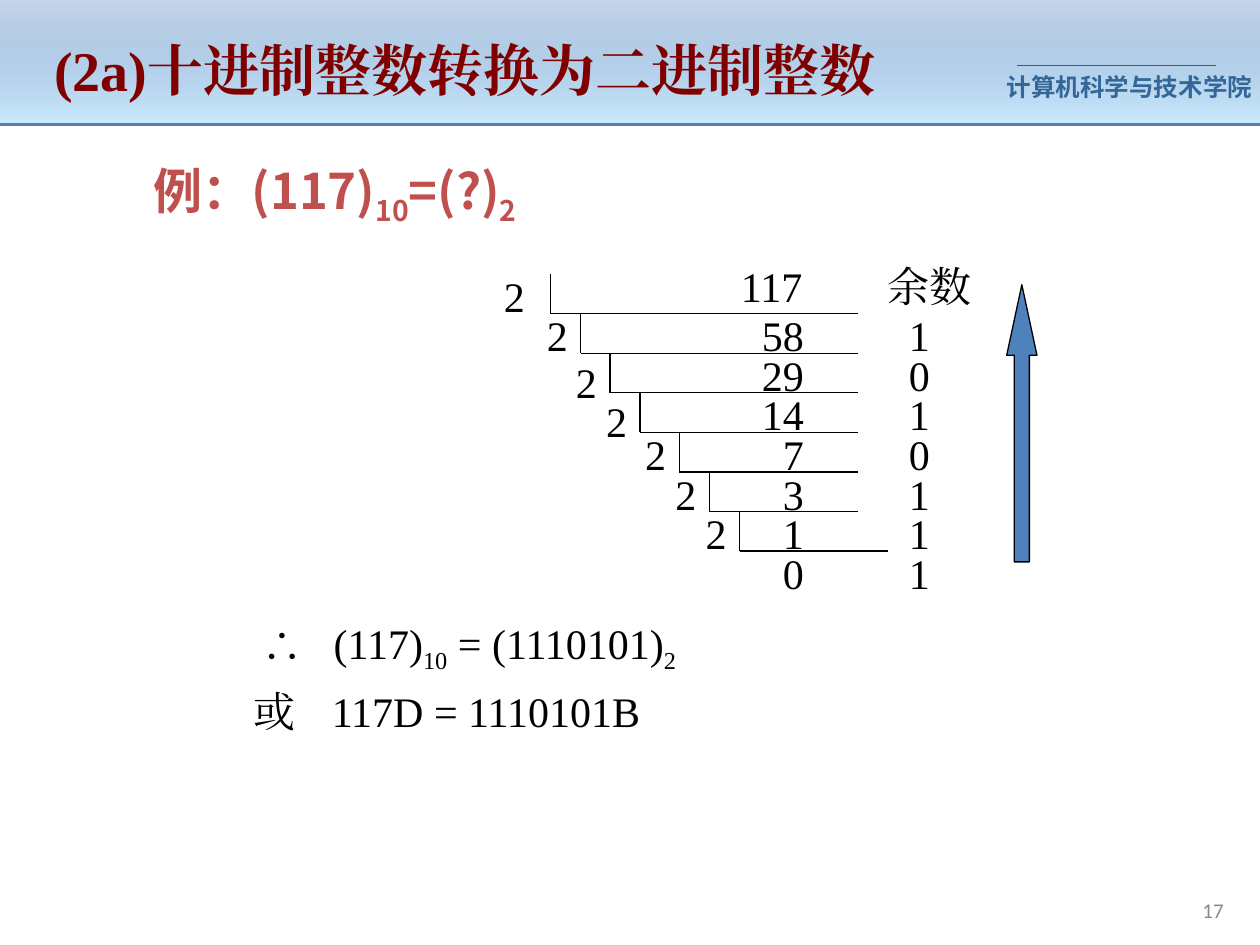
from dataclasses import dataclass

from lxml import etree
from pptx import Presentation
from pptx.dml.color import RGBColor
from pptx.enum import shapes, text
from pptx.oxml.ns import qn
from pptx.util import Pt


@dataclass(frozen=True)
class Theme:
    ink: str = "000000"
    blue: str = "4F81BD"
    sky: str = "CCECFF"
    rule: str = "0066CC"
    school: str = "336699"
    title: str = "800000"
    accent: str = "C0504D"
    grey: str = "898989"
    serif: str = "Times New Roman"
    sans: str = "Noto Sans CJK SC"
    plain: str = "Arial"
    page: str = "Calibri"
    big: int = 32
    mid: int = 28
    body: int = 24
    small: int = 14
    tiny: int = 12


ALIGN = {"l": text.PP_ALIGN.LEFT, "c": text.PP_ALIGN.CENTER, "r": text.PP_ALIGN.RIGHT}
SUB = "-25000"


def write(frame, parts, size, font, color, bold=False, align="l", tab=None, lead=None):
    """Fill a frame with runs; every second part is a subscript."""
    para = frame.paragraphs[0]
    if tab:
        stops = etree.SubElement(para._p.get_or_add_pPr(), qn("a:tabLst"))
        etree.SubElement(stops, qn("a:tab"), pos=str(Pt(tab)), algn="l")
    para.alignment = ALIGN[align]
    if lead:
        para.line_spacing = lead
    for i, part in enumerate(parts):
        run = para.add_run()
        run.text = part
        run.font.size = Pt(size)
        run.font.bold = bold
        run.font.name = font
        run.font.color.rgb = RGBColor.from_string(color)
        props = run.font._element
        etree.SubElement(props, qn("a:ea"), typeface=font)
        if i % 2:
            props.set("baseline", SUB)


class Deck:
    def __init__(self, theme):
        self.theme = theme
        self.file = Presentation()
        self.file.slide_width, self.file.slide_height = Pt(720), Pt(540)
        self.slide = self.file.slides.add_slide(self.file.slide_layouts[6])

    def text(self, x, y, w, h, *parts, pad=7.2, mid=False, **form):
        frame = self.slide.shapes.add_textbox(Pt(x), Pt(y), Pt(w), Pt(h)).text_frame
        frame.word_wrap = True
        frame.margin_left = frame.margin_right = Pt(pad)
        if mid:
            frame.vertical_anchor = text.MSO_ANCHOR.MIDDLE
        base = {"size": self.theme.body, "font": self.theme.serif, "color": self.theme.ink}
        write(frame, parts, **(base | form))

    def line(self, x1, y1, x2, y2, color=None, width=0.75):
        line = self.slide.shapes.add_connector(
            shapes.MSO_CONNECTOR.STRAIGHT, Pt(x1), Pt(y1), Pt(x2), Pt(y2))
        line.line.color.rgb = RGBColor.from_string(color or self.theme.ink)
        line.line.width = Pt(width)
        etree.SubElement(line._element.spPr, qn("a:effectLst"))

    def shape(self, kind, x, y, w, h):
        shape = self.slide.shapes.add_shape(kind, Pt(x), Pt(y), Pt(w), Pt(h))
        shape.shadow.inherit = False
        return shape

    def band(self, x, y, w, h):
        """Header strip that fades from see-through blue to sky."""
        band = self.shape(shapes.MSO_SHAPE.RECTANGLE, x, y, w, h)
        band.line.fill.background()
        band.fill.gradient()
        band.fill.gradient_angle = 270
        colors = (self.theme.blue, self.theme.sky)
        for stop, color, place in zip(band.fill.gradient_stops, colors, (0, 1)):
            stop.color.rgb = RGBColor.from_string(color)
            stop.position = place
        first = band._element.spPr.find(".//" + qn("a:srgbClr"))
        etree.SubElement(first, qn("a:alpha"), val="32000")

    def arrow(self, x, y, w, h):
        arrow = self.shape(shapes.MSO_SHAPE.UP_ARROW, x, y, w, h)
        arrow.adjustments[0], arrow.adjustments[1] = 0.5, 2.33
        arrow.fill.solid()
        arrow.fill.fore_color.rgb = RGBColor.from_string(self.theme.blue)
        arrow.line.color.rgb = RGBColor.from_string(self.theme.ink)
        arrow.line.width = Pt(0.75)


def frame(deck):
    t = deck.theme
    deck.band(0, 0, 720, 71.3)
    deck.text(575.3, 37.4, 141.8, 24.5, "计算机科学与技术学院", pad=0,
              size=t.small, font=t.plain, color=t.school, bold=True)
    deck.line(581, 37.4, 694.8, 37.4, t.rule)
    deck.line(0, 71.3, 720, 71.3, t.blue, 1.5)
    deck.text(547.2, 508.3, 159.1, 23, "17", mid=True, align="r",
              size=t.tiny, font=t.page, color=t.grey)
    deck.text(23.8, 9.4, 594, 59.8, "(2a)十进制整数转换为二进制整数", mid=True,
              size=t.big, color=t.title, bold=True)


def divide(deck):
    """Draw the ladder of divisions by two, with the remainders beside it."""
    pitch, digit, pad, edge = 22.6, 12, 7.2, 459.5
    tops = [145.4] + [173.5 + pitch * i for i in range(7)]
    rows = [("117", "余数"), ("58", "1"), ("29", "0"), ("14", "1"),
            ("7", "0"), ("3", "1"), ("1", "1"), ("0", "1")]
    for top, (num, rest) in zip(tops, rows):
        wide = digit * len(num)
        gap = 60 - digit * (len(rest) - 1)
        deck.text(edge - wide - pad, top, 170, 36, f"{num}\t{rest}", tab=wide + gap)

    bars = [314.6, 331.9, 348.5, 365.8, 388.1, 405.4, 422.6]
    drops = [5.8, 0, 4, 4, 0, 0, 0]
    for i, (x, top, drop) in enumerate(zip(bars, tops, drops)):
        y = 179.3 + pitch * i
        deck.line(x, y - pitch, x, y)
        deck.line(x, y, 507.6 if x == bars[-1] else 490.3, y)
        deck.text(x - (33.8 if i == 0 else 26.5), top + drop, 26, 36, "2")
    deck.arrow(575.3, 162.7, 17.3, 158.4)


def main():
    deck = Deck(Theme())
    t = deck.theme
    frame(deck)
    deck.text(49.7, 88.6, 283.7, 41.8, "例：(117)", "10", "=(?)", "2", align="c",
              lead=0.9, size=t.mid, font=t.sans, color=t.accent, bold=True)
    divide(deck)
    deck.text(142.6, 349.2, 254, 40, "∴\t(117)", "10", " = (1110101)", "2", tab=41)
    deck.text(137.5, 388.1, 242, 36, "或\t117D = 1110101B", tab=45)
    deck.file.save("out.pptx")


if __name__ == "__main__":
    main()
